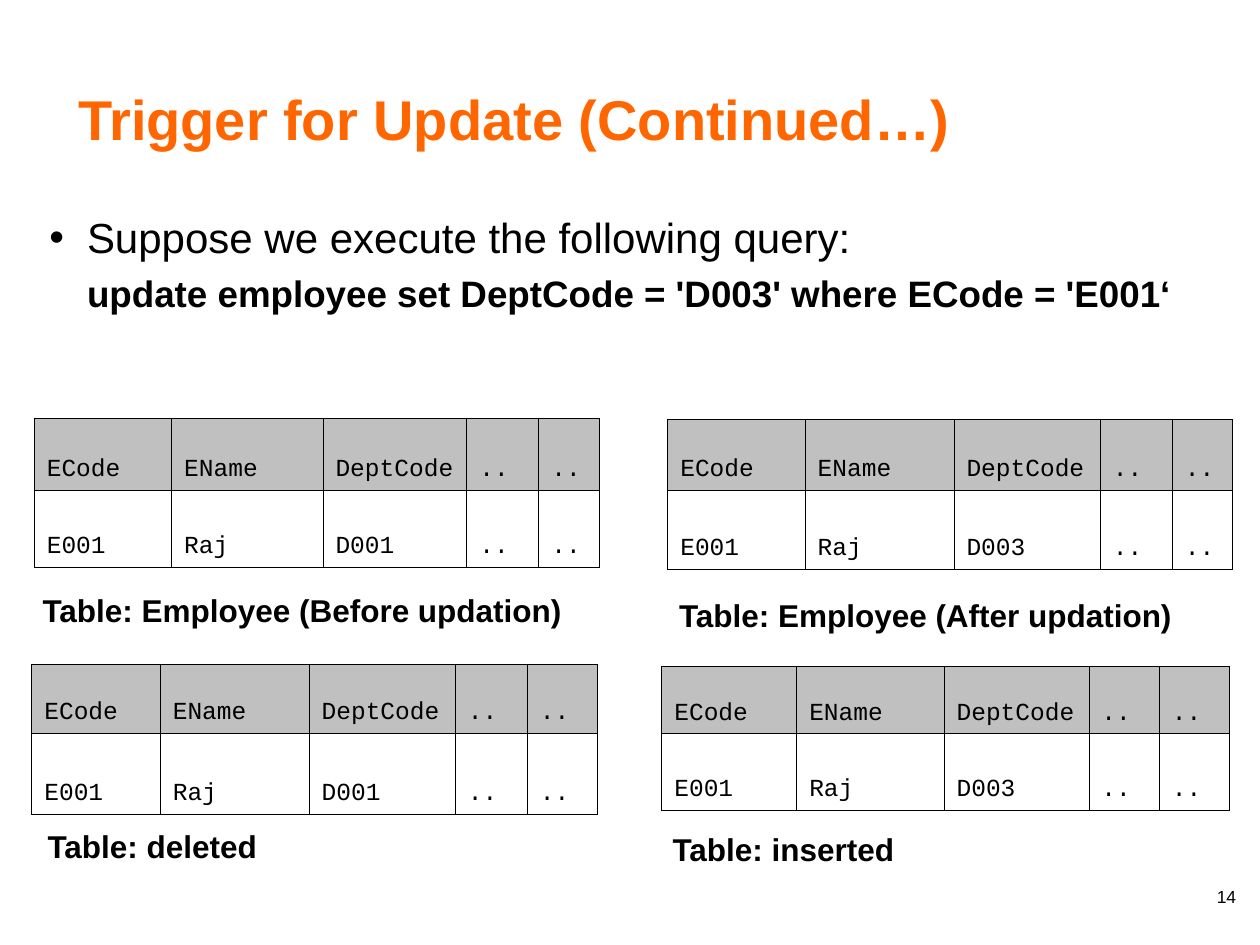
from lxml.etree import SubElement as Sub
from pptx import Presentation as Deck
from pptx.dml.color import RGBColor as Rgb
from pptx.enum.text import MSO_ANCHOR as Anchor, MSO_AUTO_SIZE as Auto, PP_ALIGN as Align
from pptx.oxml.ns import qn
from pptx.util import Cm, Pt

HUES = {"title": "FF6600", "ink": "000000", "head": "C0C0C0", "page": "FFFFFF"}
HEAD = ["ECode", "EName", "DeptCode", "..", ".."]
GRIDS = [
    (0.69, 8.43, [2.77, 3.05, 2.9, 1.45, 1.22], [1.45, 1.55], "D001"),
    (13.46, 8.46, [2.77, 3, 2.95, 1.45, 1.22], [1.42, 1.6], "D003"),
    (0.64, 13.39, [2.59, 3, 2.95, 1.45, 1.42], [1.4, 1.63], "D001"),
    (13.34, 13.44, [2.72, 2.97, 2.92, 1.42, 1.42], [1.35, 1.55], "D003"),
]
NOTES = [
    (0.61, 11.94, 12.98, "Table: Employee (Before updation)"),
    (13.44, 12.04, 13.67, "Table: Employee (After updation)"),
    (0.71, 16.69, 10.52, "Table: deleted"),
    (13.31, 16.76, 6.05, "Table: inserted"),
]


def add_run(para, text, size, bold=False, face="Arial", hue="ink"):
    run = para.add_run()
    run.text = text
    font = run.font
    font.name, font.size, font.bold = face, Pt(size), bold
    font.color.rgb = Rgb.from_string(HUES[hue])


def place(shape, left, top, width, height):
    shape.left, shape.top = Cm(left), Cm(top)
    shape.width, shape.height = Cm(width), Cm(height)


def set_title(shape, text):
    place(shape, 1.32, 0, 18.72, 3.18)
    frame = shape.text_frame
    frame.auto_size = Auto.NONE
    frame.vertical_anchor = Anchor.BOTTOM
    para = frame.paragraphs[0]
    para.alignment = Align.LEFT
    add_run(para, text, 32, bold=True, hue="title")


def set_bullet(para, mark, hang):
    props = para._p.get_or_add_pPr()
    props.set("marL", str(Cm(0.76)))
    props.set("indent", str(-Cm(0.76) if hang else 0))
    if mark:
        Sub(props, qn("a:buFont"), typeface="Arial")
        Sub(props, qn("a:buChar"), char=mark)
    else:
        Sub(props, qn("a:buNone"))


def set_body(shape, lead, query):
    place(shape, 0.74, 4.14, 24.66, 3.51)
    frame = shape.text_frame
    frame.auto_size = Auto.NONE
    first, last = frame.paragraphs[0], frame.add_paragraph()
    set_bullet(first, "•", True)
    set_bullet(last, None, False)
    first.space_before, last.space_before = Pt(0), Pt(5.2)
    add_run(first, lead, 24)
    add_run(last, query, 21, bold=True)


def add_edges(cell):
    props = cell._tc.get_or_add_tcPr()
    for side in ("lnL", "lnR", "lnT", "lnB"):
        line = Sub(props, qn(f"a:{side}"), w=str(Pt(0.45)))
        fill = Sub(line, qn("a:solidFill"))
        Sub(fill, qn("a:srgbClr"), val=HUES["ink"])


def fill_cell(cell, text, hue):
    add_edges(cell)
    cell.fill.solid()
    cell.fill.fore_color.rgb = Rgb.from_string(HUES[hue])
    cell.vertical_anchor = Anchor.BOTTOM
    add_run(cell.text_frame.paragraphs[0], text, 14, face="Courier New")


def add_grid(slide, left, top, cols, rows, dept):
    frame = slide.shapes.add_table(
        len(rows), len(cols), Cm(left), Cm(top), Cm(sum(cols)), Cm(sum(rows)))
    table = frame.table
    table.first_row = table.horz_banding = False
    for col, width in zip(table.columns, cols):
        col.width = Cm(width)
    for row, height in zip(table.rows, rows):
        row.height = Cm(height)
    data = [(HEAD, "head"), (["E001", "Raj", dept, "..", ".."], "page")]
    for row, (texts, hue) in zip(table.rows, data):
        for cell, text in zip(row.cells, texts):
            fill_cell(cell, text, hue)


def add_text(slide, left, top, width, height):
    box = slide.shapes.add_textbox(Cm(left), Cm(top), Cm(width), Cm(height))
    box.text_frame.word_wrap = True
    return box.text_frame.paragraphs[0]


def add_note(slide, left, top, width, text):
    para = add_text(slide, left, top, width, 0.86)
    para.line_spacing = 0.8
    add_run(para, text, 18, bold=True)


def add_number(slide, text):
    para = add_text(slide, 19.25, 17.73, 5.92, 1.32)
    para.alignment = Align.RIGHT
    add_run(para, text, 10)


def main():
    deck = Deck()
    deck.slide_width, deck.slide_height = Cm(25.4), Cm(19.05)
    slide = deck.slides.add_slide(deck.slide_layouts[1])
    set_title(slide.shapes.title, "Trigger for Update (Continued…)")
    set_body(slide.placeholders[1], "Suppose we execute the following query:",
             "update employee set DeptCode = 'D003' where ECode = 'E001‘")
    for grid in GRIDS:
        add_grid(slide, *grid)
    for note in NOTES:
        add_note(slide, *note)
    add_number(slide, "14")
    deck.save("out.pptx")


if __name__ == "__main__":
    main()
